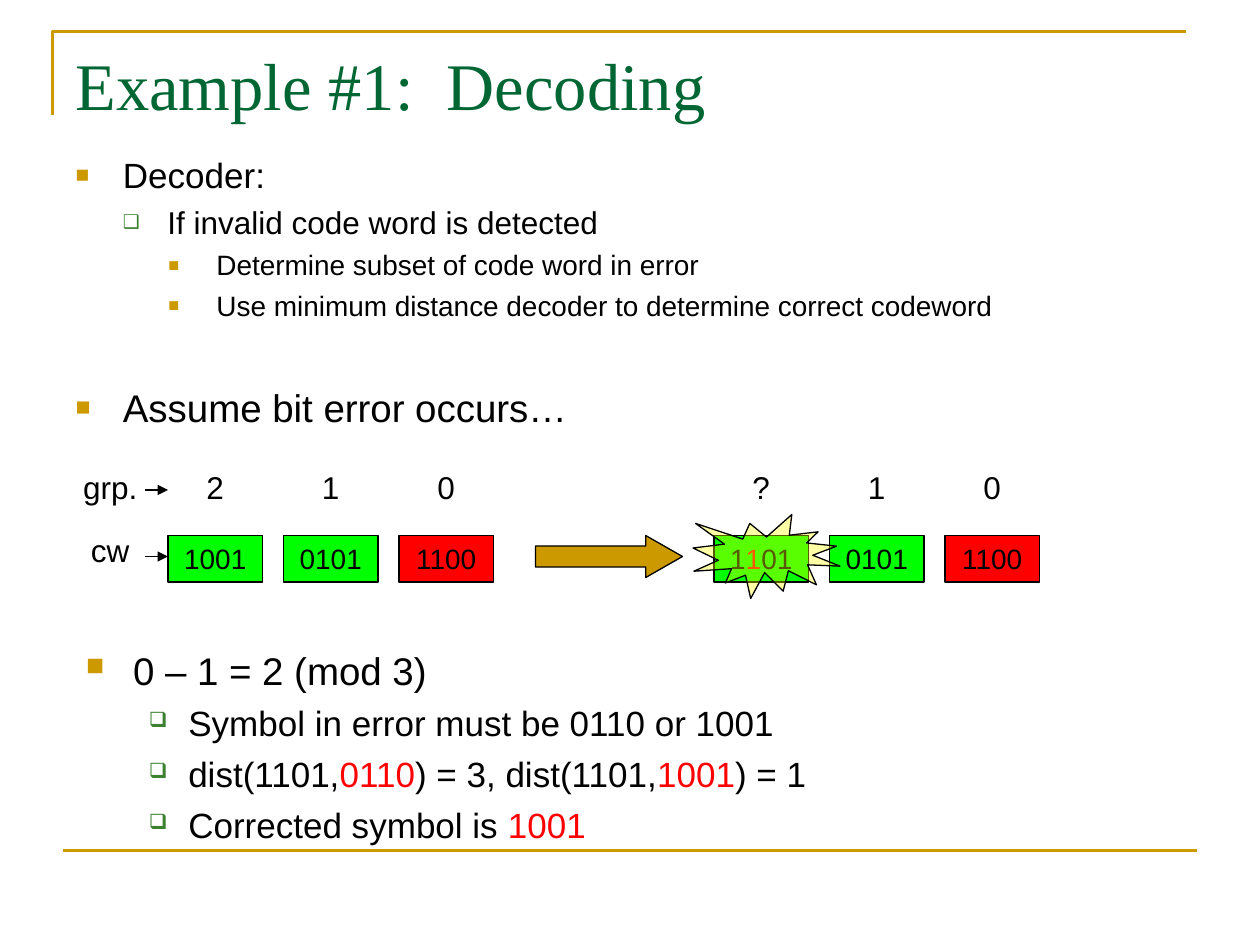
import pptx
import pptx.util
import pptx.dml.color
import pptx.enum.shapes
import pptx.enum.text
import pptx.oxml.ns
import lxml.etree

Pt = pptx.util.Pt
SHAPE = pptx.enum.shapes.MSO_SHAPE
ANCHOR = pptx.enum.text.MSO_ANCHOR
ALIGN = pptx.enum.text.PP_ALIGN
GOLD, GREEN, RED, BLACK = "CC9900", "00FF00", "FF0000", "000000"
STEP, CELL_W, CELL_H = 66, 54, 26.6


def rgb(color):
    """Return the colour for a hex string."""
    return pptx.dml.color.RGBColor.from_string(color)


def sub(parent, tag, **attrs):
    """Append a DrawingML child element and return it."""
    return lxml.etree.SubElement(parent, pptx.oxml.ns.qn(tag), attrs)


def place(sp, box):
    """Move and size a shape to a box given in points."""
    sp.left, sp.top, sp.width, sp.height = (Pt(v) for v in box)


def add_runs(p, runs, size, font="Arial"):
    """Add (text, colour) runs to a paragraph."""
    for text, color in runs:
        r = p.add_run()
        r.text = text
        r.font.size = Pt(size)
        r.font.name = font
        r.font.color.rgb = rgb(color)


def set_frame(tf, anchor=ANCHOR.TOP):
    """Give a text frame wrapping, fixed size and an anchor."""
    tf.word_wrap = True
    tf.auto_size = pptx.enum.text.MSO_AUTO_SIZE.NONE
    tf.vertical_anchor = anchor


def add_title(sp, box, text):
    """Fill the title placeholder."""
    place(sp, box)
    set_frame(sp.text_frame)
    p = sp.text_frame.paragraphs[0]
    p.alignment = ALIGN.LEFT
    add_runs(p, [(text, "006633")], 38, "Times New Roman")


def add_list(sp, box, items, indents):
    """Fill a shape with bulleted (level, size, runs) items."""
    place(sp, box)
    tf = sp.text_frame
    set_frame(tf)
    for i, (level, size, runs) in enumerate(items):
        p = tf.add_paragraph() if i else tf.paragraphs[0]
        p.level = level
        p.alignment = ALIGN.LEFT
        p.space_before = Pt(size / 4)
        add_runs(p, runs, size)
        char, color, scale = ("❑", "3B812F", 60) if level == 1 else ("■", GOLD, 65)
        left, hang = indents[level]
        pPr = p._p.get_or_add_pPr()
        pPr.set("marL", str(Pt(left)))
        pPr.set("indent", str(Pt(-hang)))
        sub(sub(pPr, "a:buClr"), "a:srgbClr", val=color)
        sub(pPr, "a:buSzPct", val=str(scale * 1000))
        sub(pPr, "a:buChar", char=char)


def add_line(s, start, end, color, width, arrow=False):
    """Draw a straight connector, optionally with an arrowhead."""
    line = s.shapes.add_connector(
        pptx.enum.shapes.MSO_CONNECTOR.STRAIGHT, *(Pt(v) for v in start + end))
    line.line.color.rgb = rgb(color)
    line.line.width = Pt(width)
    if arrow:
        sub(line.line._get_or_add_ln(), "a:tailEnd", type="triangle")
    sub(line._element.spPr, "a:effectLst")


def add_rules(s, box):
    """Draw the corner rule above the title and the rule at the foot."""
    x, y, w, h = box
    fb = s.shapes.build_freeform(Pt(x), Pt(y + 48), 1.0)
    fb.add_line_segments([(Pt(x), Pt(y)), (Pt(x + w), Pt(y))], close=False)
    sp = fb.convert_to_shape()
    sp.shadow.inherit = False
    sp.fill.background()
    sp.line.color.rgb = rgb(GOLD)
    sp.line.width = Pt(1.5)
    add_line(s, (x + 6, y + h), (x + w + 6, y + h), GOLD, 1.5)


def add_block(s, kind, box, color):
    """Draw a filled preset shape with a thin black outline."""
    sp = s.shapes.add_shape(kind, *(Pt(v) for v in box))
    sp.shadow.inherit = False
    sp.fill.solid()
    sp.fill.fore_color.rgb = rgb(color)
    sp.line.color.rgb = rgb(BLACK)
    sp.line.width = Pt(0.75)
    return sp


def add_label(s, box, text):
    """Add a centred text label."""
    sp = s.shapes.add_textbox(*(Pt(v) for v in box))
    set_frame(sp.text_frame)
    p = sp.text_frame.paragraphs[0]
    p.alignment = ALIGN.CENTER
    add_runs(p, [(text, BLACK)], 18)


def add_words(s, x, y, cells):
    """Draw a row of code words, each under its group number."""
    for i, (group, runs, color) in enumerate(cells):
        left = x + i * STEP
        add_label(s, (left + 6, y, CELL_W - 12, 29), group)
        sp = add_block(s, SHAPE.RECTANGLE, (left, y + 42, CELL_W, CELL_H), color)
        set_frame(sp.text_frame, ANCHOR.MIDDLE)
        p = sp.text_frame.paragraphs[0]
        p.alignment = ALIGN.CENTER
        add_runs(p, runs, 16)


def add_diagram(s, x, y):
    """Draw the sent and the received code words with row labels."""
    shared = [("1", [("0101", BLACK)], GREEN), ("0", [("1100", BLACK)], RED)]
    sent = ("2", [("1001", BLACK)], GREEN)
    received = ("?", [("1", BLACK), ("1", RED), ("01", BLACK)], GREEN)
    add_words(s, x + 66, y, [sent] + shared)
    add_words(s, x + 378, y, [received] + shared)
    arrow = add_block(s, SHAPE.RIGHT_ARROW, (x + 276, y + 42, 84, 24), GOLD)
    arrow.adjustments[1] = 0.875
    burst = add_block(s, SHAPE.EXPLOSION1, (x + 366, y + 30, 84, 48), "FFFF00")
    fill = burst._element.spPr.find(pptx.oxml.ns.qn("a:solidFill"))
    sub(fill[0], "a:alpha", val="35000")
    for text, top, mid in (("grp.", 0, 16), ("cw", 36, 54)):
        add_label(s, (x, y + top, 66, 29), text)
        add_line(s, (x + 53, y + mid), (x + 66, y + mid), BLACK, 0.75, True)


def main():
    """Build and save the decoding slide."""
    prs = pptx.Presentation()
    prs.slide_width, prs.slide_height = Pt(720), Pt(540)
    s = prs.slides.add_slide(prs.slide_layouts[3])
    add_rules(s, (30, 18, 648, 468))
    add_title(s.shapes.title, (36, 21.6, 648, 50.4), "Example #1:  Decoding")
    add_list(s.placeholders[1], (36, 84, 648, 114), [
        (0, 20, [("Decoder:", BLACK)]),
        (1, 18, [("If invalid code word is detected", BLACK)]),
        (2, 16, [("Determine subset of code word in error", BLACK)]),
        (2, 16, [("Use minimum distance decoder to determine correct codeword", BLACK)]),
    ], [(27, 27), (52.5, 25.5), (80.5, 27.5)])
    add_list(s.placeholders[2], (36, 216, 648, 42),
             [(0, 22, [("Assume bit error occurs…", BLACK)])], [(27, 27)])
    add_diagram(s, 30, 264)
    add_list(s.shapes.add_textbox(0, 0, 0, 0), (42, 366, 648, 126), [
        (0, 22, [("0 – 1 = 2 (mod 3)", BLACK)]),
        (1, 20, [("Symbol in error must be 0110 or 1001", BLACK)]),
        (1, 20, [("dist(1101,", BLACK), ("0110", RED), (") = 3, dist(1101,", BLACK),
                 ("1001", RED), (") = 1", BLACK)]),
        (1, 20, [("Corrected symbol is ", BLACK), ("1001", RED)]),
    ], [(27, 27), (58.5, 22.5)])
    prs.save("out.pptx")


if __name__ == "__main__":
    main()
